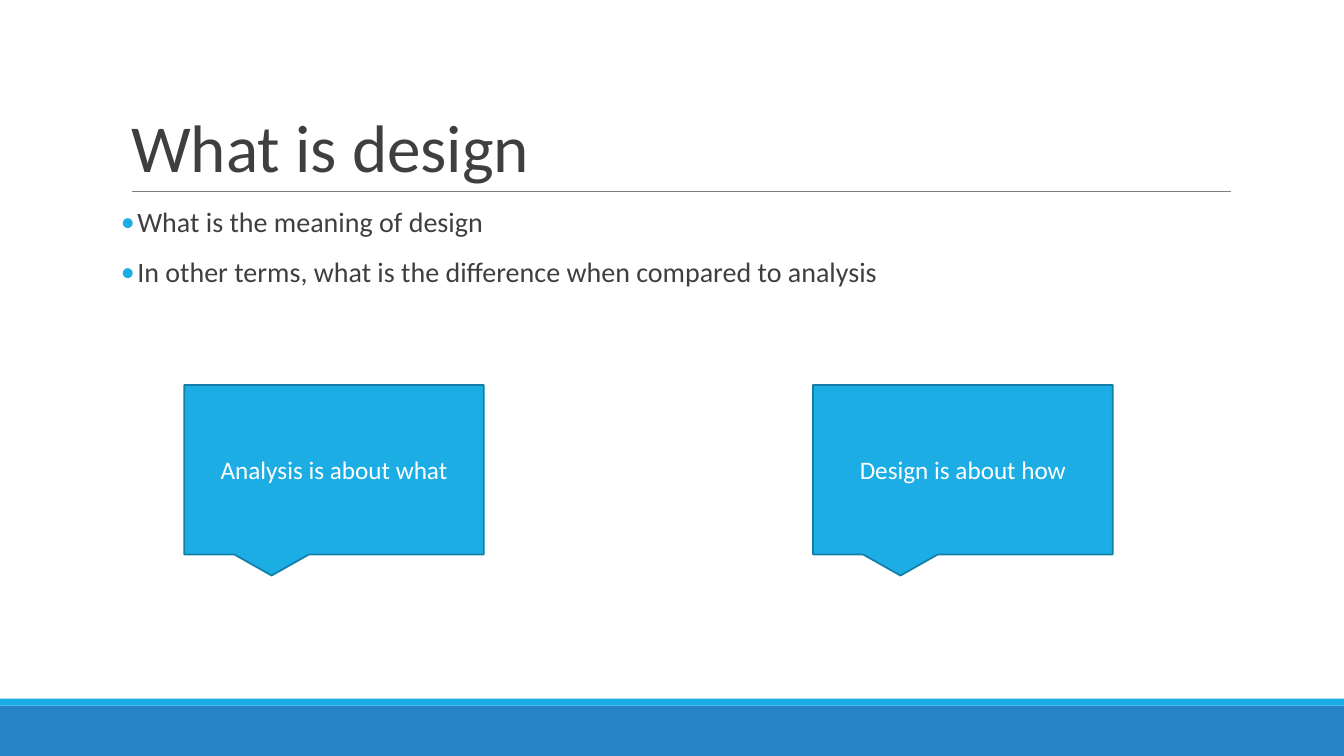
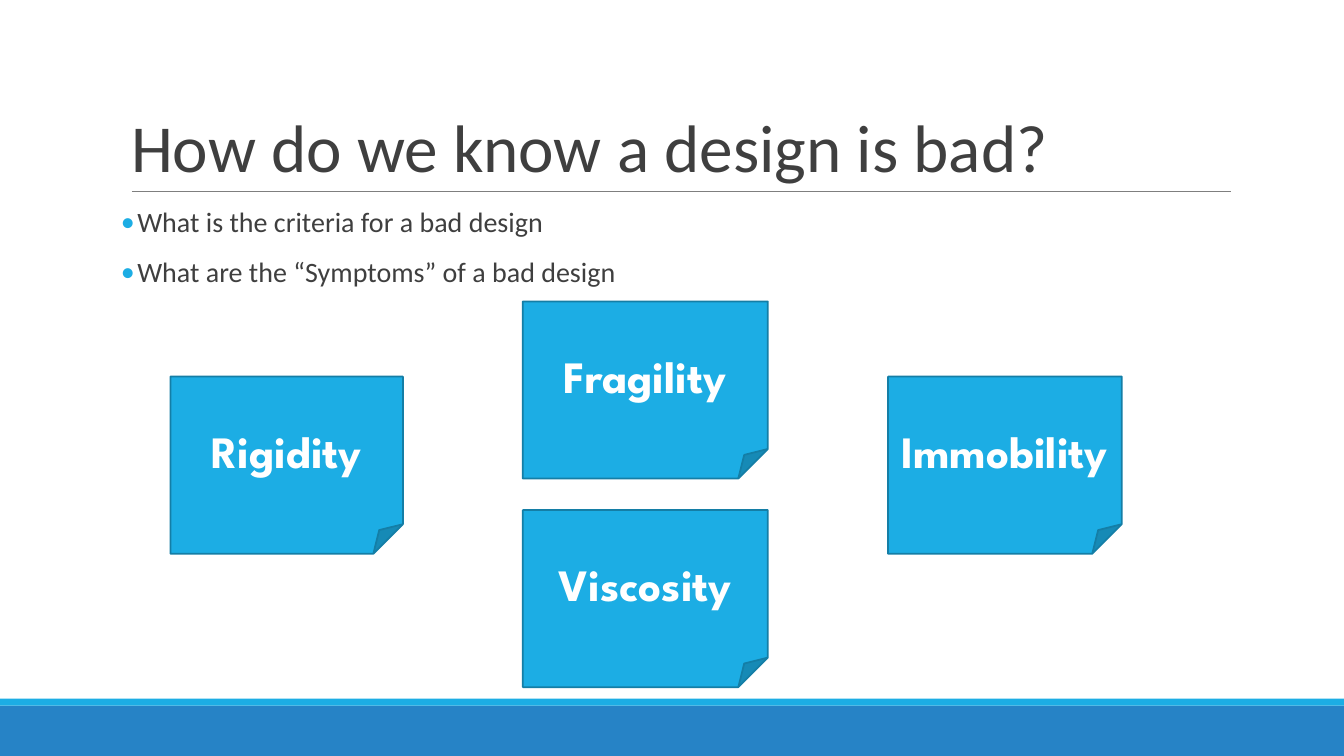
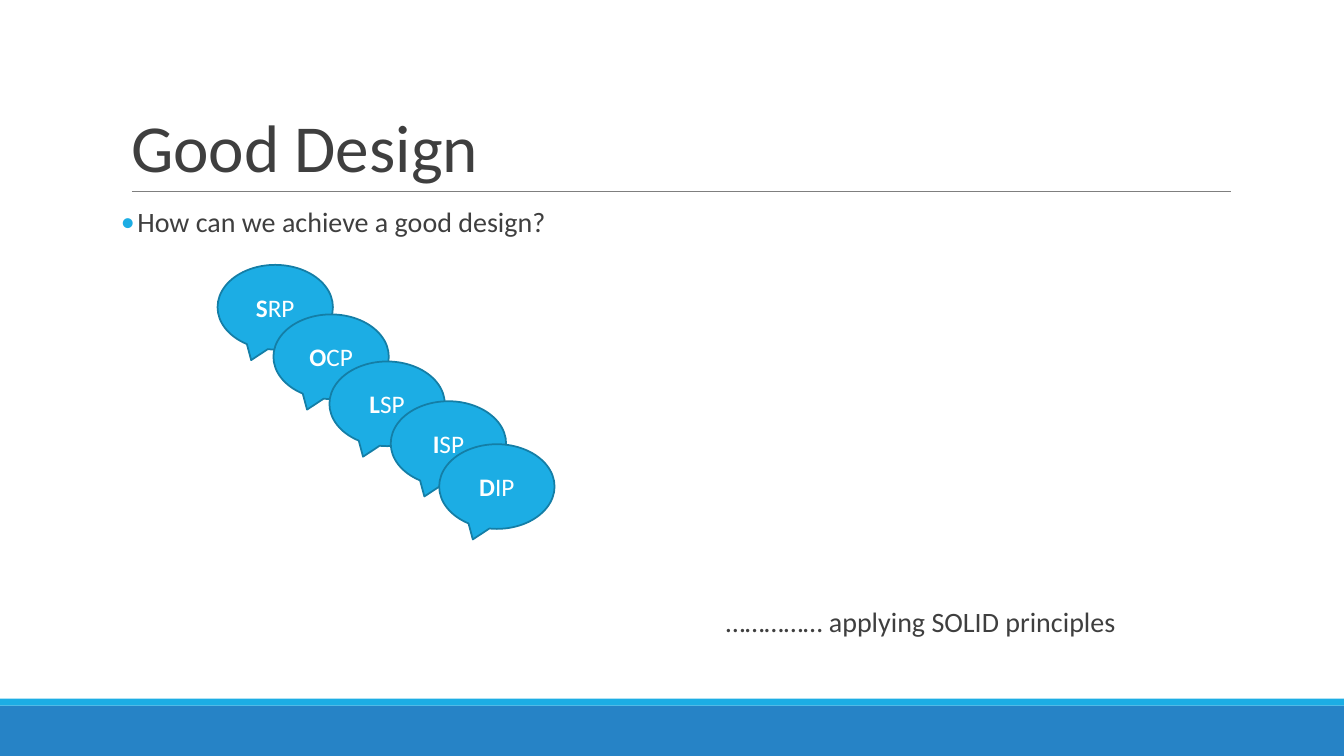
"""Build three slides on software design, its bad symptoms and the SOLID principles."""
import pptx
import pptx.dml.color
import pptx.enum.shapes
import pptx.enum.text
import pptx.oxml
import pptx.oxml.ns
import pptx.util

Pt = pptx.util.Pt
SHAPE = pptx.enum.shapes.MSO_SHAPE
ANCHOR = pptx.enum.text.MSO_ANCHOR
ALIGN = pptx.enum.text.PP_ALIGN
COLOURS = {
    "text": "3F3F3F",
    "rule": "7F7F7F",
    "band": "2683C6",
    "accent": "1CADE4",
    "outline": "147EA6",
    "white": "FFFFFF",
}
BODY_FONT = "Calibri"
NOTE_FONT = "League Spartan"
WIDTH, HEIGHT = 960, 540
BODY_LEFT, BODY_TOP, BODY_WIDTH = 86.4, 145.4, 792
BULLET_INDENT = 11.7


def colour(name):
    """Return a named colour of the deck."""
    return pptx.dml.color.RGBColor.from_string(COLOURS[name])


class Deck:
    """Hold the deck's style and the slide being filled."""

    def __init__(self):
        """Open an empty widescreen deck."""
        self.show = pptx.Presentation()
        self.show.slide_width, self.show.slide_height = Pt(WIDTH), Pt(HEIGHT)
        self.slide = None

    def add_slide(self, heading):
        """Start a slide with bands, a rule and a title."""
        self.slide = self.show.slides.add_slide(self.show.slide_layouts[5])
        self.block(SHAPE.RECTANGLE, 0, 504, WIDTH, 36, "band")
        self.block(SHAPE.RECTANGLE, 0, 499, WIDTH, 5, "accent")
        self.rule(94.3, 879, 136.8)
        title = self.slide.shapes.title
        title.left, title.top = Pt(BODY_LEFT), Pt(22.3)
        title.width, title.height = Pt(BODY_WIDTH), Pt(114.5)
        frame = title.text_frame
        frame.auto_size = pptx.enum.text.MSO_AUTO_SIZE.NONE
        frame.vertical_anchor = ANCHOR.BOTTOM
        line = frame.paragraphs[0]
        line.alignment, line.line_spacing = ALIGN.LEFT, 0.85
        self.run(line, heading, 48)

    def run(self, paragraph, words, size, ink="text", font=BODY_FONT, bold=False):
        """Append one formatted run."""
        run = paragraph.add_run()
        run.text = words
        run.font.name, run.font.size, run.font.bold = font, Pt(size), bold
        run.font.color.rgb = colour(ink)

    def block(self, kind, left, top, width, height, fill, outline=None):
        """Draw a filled preset shape, outlined on request."""
        block = self.slide.shapes.add_shape(kind, Pt(left), Pt(top), Pt(width), Pt(height))
        block.shadow.inherit = False
        block.fill.solid()
        block.fill.fore_color.rgb = colour(fill)
        if outline:
            block.line.color.rgb = colour(outline)
            block.line.width = Pt(1.25)
        else:
            block.line.fill.background()
        return block

    def rule(self, start, end, y):
        """Draw the thin rule under the title."""
        rule = self.slide.shapes.add_connector(
            pptx.enum.shapes.MSO_CONNECTOR.STRAIGHT, Pt(start), Pt(y), Pt(end), Pt(y))
        rule.line.color.rgb = colour("rule")
        rule.line.width = Pt(0.75)
        pptx.oxml.ns.qn("a:effectLst")
        rule.line._get_or_add_ln().addnext(
            rule._element.makeelement(pptx.oxml.ns.qn("a:effectLst"), {}))

    def label(self, kind, left, top, width, height, parts, size=18, font=BODY_FONT):
        """Draw an accent shape with centred (words, bold) parts."""
        label = self.block(kind, left, top, width, height, "accent", "outline")
        frame = label.text_frame
        frame.word_wrap = True
        frame.vertical_anchor = ANCHOR.MIDDLE
        line = frame.paragraphs[0]
        line.alignment = ALIGN.CENTER
        for words, bold in parts:
            self.run(line, words, size, "white", font, bold)

    def body(self, lines, left=BODY_LEFT, top=BODY_TOP, width=BODY_WIDTH, height=316.8,
             bulleted=True):
        """Write body paragraphs, with bullets by default."""
        frame = self.slide.shapes.add_textbox(
            Pt(left), Pt(top), Pt(width), Pt(height)).text_frame
        frame.word_wrap = True
        frame.margin_left = frame.margin_right = 0
        for index, words in enumerate(lines):
            line = frame.add_paragraph() if index else frame.paragraphs[0]
            line.line_spacing = 0.9
            line.space_before = Pt(14 if index else 0)
            if bulleted:
                self.bullet(line)
            self.run(line, words, 20)

    def bullet(self, paragraph):
        """Give a paragraph a hanging accent bullet."""
        properties = paragraph._p.get_or_add_pPr()
        properties.set("marL", str(Pt(BULLET_INDENT)))
        properties.set("indent", str(-Pt(BULLET_INDENT)))
        namespace = pptx.oxml.ns.nsdecls("a")
        for markup in (
            f'<a:buClr {namespace}><a:srgbClr val="{COLOURS["accent"]}"/></a:buClr>',
            f'<a:buFont {namespace} typeface="{BODY_FONT}"/>',
            f'<a:buChar {namespace} char="•"/>',
        ):
            properties.append(pptx.oxml.parse_xml(markup))


def main():
    """Build and save the deck."""
    deck = Deck()

    deck.add_slide("What is design")
    deck.body(["What is the meaning of design",
               "In other terms, what is the difference when compared to analysis"])
    for left, claim in ((131.6, "Analysis is about what"), (580.8, "Design is about how")):
        deck.label(SHAPE.RECTANGULAR_CALLOUT, left, 275, 214, 121, [(claim, False)])

    deck.add_slide("How do we know a design is bad?")
    deck.body(["What is the criteria for a bad design",
               "What are the “Symptoms” of a bad design"], height=351)
    for left, top, width, symptom in (
        (121.8, 269, 166, "Rigidity"),
        (634.3, 269, 167, "Immobility"),
        (373.5, 215.3, 175, "Fragility"),
        (373.5, 364.3, 175, "Viscosity"),
    ):
        deck.label(SHAPE.FOLDED_CORNER, left, top, width, 126.5, [(symptom, True)], 32, NOTE_FONT)

    deck.add_slide("Good Design")
    deck.body(["How can we achieve a good design?"], width=716, height=280)
    deck.body(["…………… applying SOLID principles"], 518.4, 431.1, 284, 31, False)
    for left, top, principle in (
        (155.4, 189.2, "SRP"),
        (195.3, 224.6, "OCP"),
        (235.3, 258.2, "LSP"),
        (279.1, 286.6, "ISP"),
        (313.7, 317.3, "DIP"),
    ):
        deck.label(SHAPE.OVAL_CALLOUT, left, top, 82.4, 60.5,
                   [(principle[0], True), (principle[1:], False)])

    deck.show.save("out.pptx")


if __name__ == "__main__":
    main()
